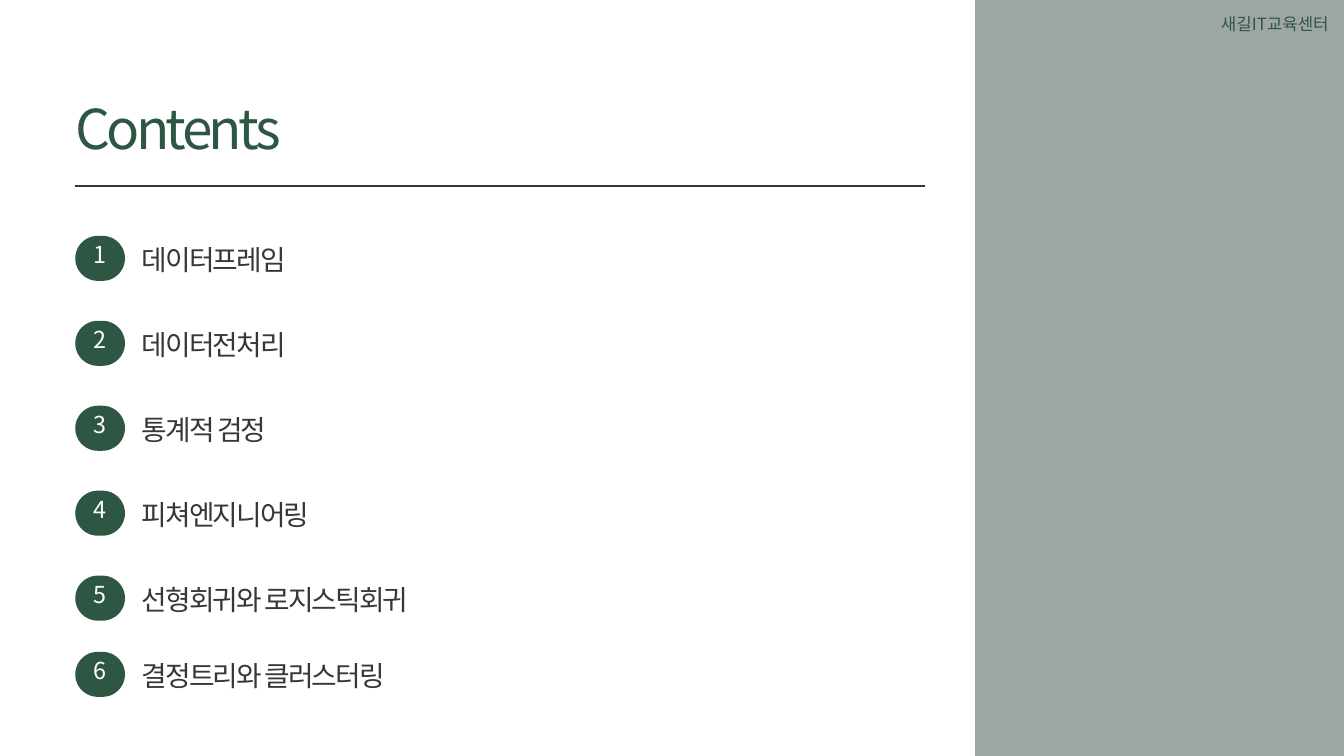
from lxml import etree
from pptx import Presentation
from pptx.dml.color import RGBColor
from pptx.enum.shapes import MSO_CONNECTOR, MSO_SHAPE
from pptx.enum.text import MSO_ANCHOR, MSO_AUTO_SIZE, PP_ALIGN
from pptx.oxml.ns import qn
from pptx.util import Inches, Pt

GREEN = RGBColor(0x2E, 0x57, 0x43)
SAGE = RGBColor(0x9D, 0xA6, 0xA2)
DARK = RGBColor(0x37, 0x37, 0x37)
WHITE = RGBColor(0xFF, 0xFF, 0xFF)
FONT = "Noto Sans CJK KR"
LEFT, CENTER, RIGHT = PP_ALIGN.LEFT, PP_ALIGN.CENTER, PP_ALIGN.RIGHT
TOP, MIDDLE = MSO_ANCHOR.TOP, MSO_ANCHOR.MIDDLE
GROW, FIXED = MSO_AUTO_SIZE.SHAPE_TO_FIT_TEXT, MSO_AUTO_SIZE.NONE
RECTANGLE, ROUNDED = MSO_SHAPE.RECTANGLE, MSO_SHAPE.ROUNDED_RECTANGLE
STRAIGHT = MSO_CONNECTOR.STRAIGHT

deck = Presentation()
deck.slide_width, deck.slide_height = Inches(20), Inches(11.25)
page = deck.slides.add_slide(deck.slide_layouts[6])


def add_text(text, left, top, width, height, size, color, align=LEFT, anchor=TOP,
             line=None, tracking=None, inset=(0, 0), fit=GROW):
    box = page.shapes.add_textbox(Inches(left), Inches(top), Inches(width), Inches(height))
    frame = box.text_frame
    frame.word_wrap = True
    frame.auto_size = fit
    frame.vertical_anchor = anchor
    frame.margin_left = frame.margin_right = Inches(inset[0])
    frame.margin_top = frame.margin_bottom = Inches(inset[1])
    para = frame.paragraphs[0]
    para.alignment = align
    if line:
        para.line_spacing = Pt(line)
    span = para.add_run()
    span.text = text
    span.font.size = Pt(size)
    span.font.name = FONT
    span.font.color.rgb = color
    props = span.font._element
    etree.SubElement(props, qn("a:ea")).set("typeface", FONT)
    if tracking:
        props.set("spc", str(round(tracking * 100)))


def add_block(shape_type, left, top, width, height, color):
    block = page.shapes.add_shape(
        shape_type, Inches(left), Inches(top), Inches(width), Inches(height))
    block.shadow.inherit = False
    block.fill.solid()
    block.fill.fore_color.rgb = color
    block.line.fill.background()
    return block


# Side panel and its label
add_block(RECTANGLE, 14.51, 0, 5.49, 11.25, SAGE)
add_text("새길IT교육센터", 17.95, 0.15, 1.92, 0.4, 18, GREEN, align=RIGHT, inset=(0.1, 0.05))

# Heading and rule
rule = page.shapes.add_connector(STRAIGHT, Inches(1.12), Inches(2.77), Inches(13.76), Inches(2.77))
rule.line.color.rgb = DARK
rule.line.width = Pt(1.5)
etree.SubElement(rule._element.spPr, qn("a:effectLst"))
add_text("Contents", 1.12, 1.24, 10.15, 1.06, 58.8, GREEN, line=82.3, tracking=-3.9)

# Numbered topics: five at an equal pitch, the last one set closer
topics = ["데이터프레임", "데이터전처리", "통계적 검정", "피쳐엔지니어링",
          "선형회귀와 로지스틱회귀", "결정트리와 클러스터링"]
FIRST_TOP, PITCH, LAST_TOP = 3.51, 1.264, 9.7
tops = [FIRST_TOP + PITCH * row for row in range(5)] + [LAST_TOP]
for number, (topic, top) in enumerate(zip(topics, tops), start=1):
    badge = add_block(ROUNDED, 1.12, top, 0.74, 0.67, GREEN)
    badge.adjustments[0] = 0.5
    add_text(str(number), 1.12, top - 0.2, 0.74, 0.87, 25, WHITE, align=CENTER,
             anchor=MIDDLE, line=35, inset=(0.06, 0.06), fit=FIXED)
    add_text(topic, 2.11, top + 0.02, 4.96, 0.54, 29.8, DARK, line=41.7, tracking=-2)

deck.save("out.pptx")
